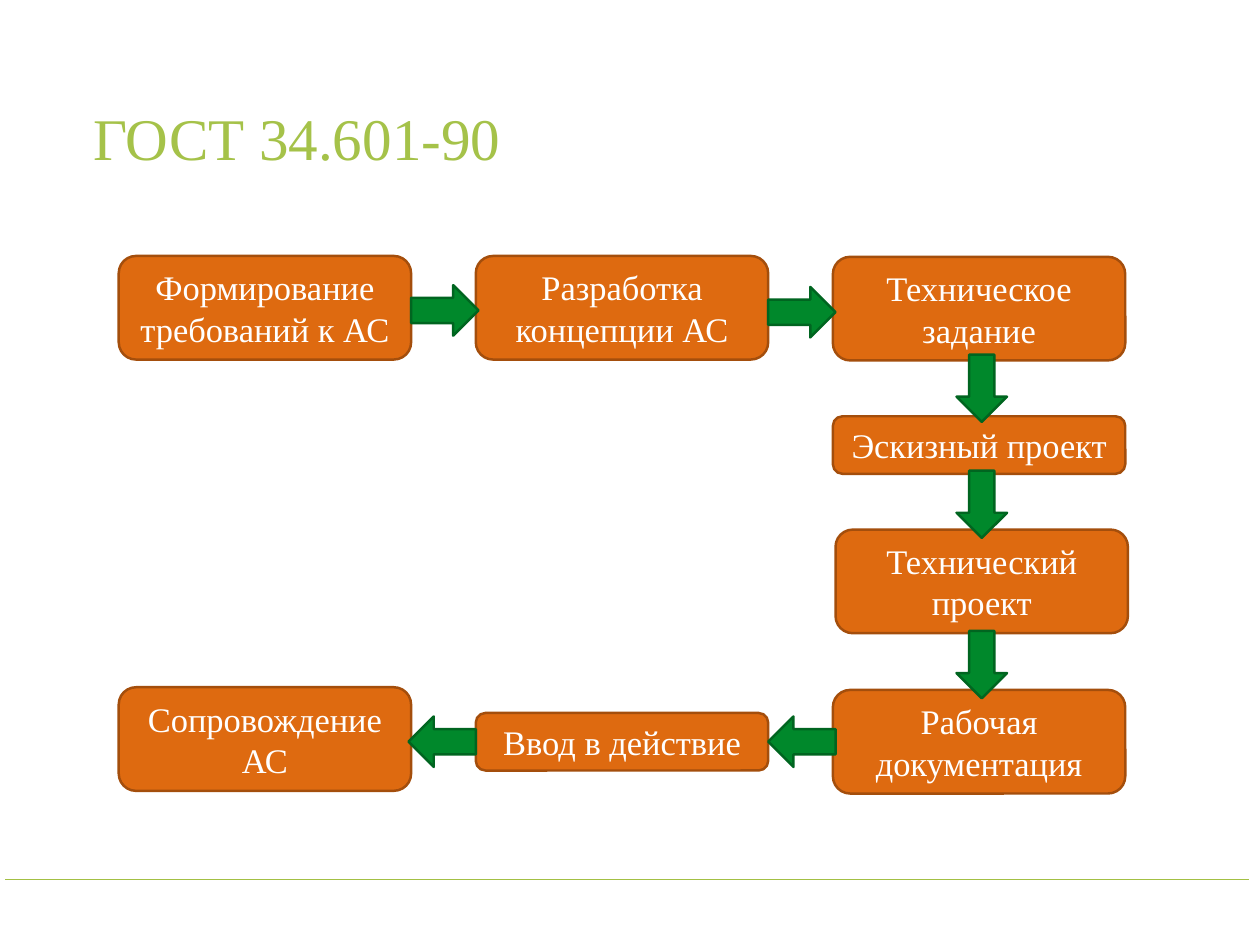
from dataclasses import dataclass

from lxml import etree
from pptx import Presentation
from pptx.dml.color import RGBColor
from pptx.enum.shapes import MSO_CONNECTOR, MSO_SHAPE
from pptx.enum.text import MSO_ANCHOR, PP_ALIGN
from pptx.oxml.ns import qn
from pptx.util import Inches, Pt

ROUND = MSO_SHAPE.ROUNDED_RECTANGLE
ARROW = MSO_SHAPE.RIGHT_ARROW
STRAIGHT = MSO_CONNECTOR.STRAIGHT
MIDDLE = MSO_ANCHOR.MIDDLE
LEFT, CENTER = PP_ALIGN.LEFT, PP_ALIGN.CENTER


@dataclass(frozen=True)
class Theme:
    font: str = "Times New Roman"
    title: str = "A5C249"
    rule: str = "A3C044"
    box: str = "DE6A10"
    box_edge: str = "A44E0C"
    arrow: str = "00882B"
    arrow_edge: str = "006520"
    text: str = "FFFFFF"
    title_size: int = 48
    box_size: int = 28
    edge: int = 2


THEME = Theme()

# Columns, and the sizes shared by all boxes and arrows
COL = [1.34 + 4.03 * i for i in range(3)]
BOX_W, TALL, LOW = 3.3, 1.17, 0.65
ARROW_W, ARROW_H = 0.76, 0.57
DOWN_X = 10.7

# Text, left, top, height
STAGES = [
    ("Формирование требований к АС", COL[0], 2.89, TALL),
    ("Разработка концепции АС", COL[1], 2.89, TALL),
    ("Техническое задание", COL[2], 2.9, TALL),
    ("Эскизный проект", COL[2], 4.7, LOW),
    ("Технический проект", COL[2] + 0.03, 5.98, TALL),
    ("Рабочая документация", COL[2], 7.79, TALL),
    ("Ввод в действие", COL[1], 8.05, LOW),
    ("Сопровождение АС", COL[0], 7.76, TALL),
]

# Left, top, turn in degrees
ARROWS = [
    (4.64, 3.22, 0),
    (8.67, 3.24, 0),
    (DOWN_X, 4.1, 90),
    (DOWN_X, 5.41, 90),
    (DOWN_X, 7.22, 90),
    (8.67, 8.09, 180),
    (4.61, 8.09, 180),
]


def color(code):
    return RGBColor.from_string(code)


def put_text(shape, text, *, size, ink, inset, align=LEFT, spacing=1.0):
    frame = shape.text_frame
    frame.word_wrap = True
    frame.vertical_anchor = MIDDLE
    frame.margin_left = frame.margin_right = Inches(inset)
    frame.margin_top = frame.margin_bottom = Inches(inset)
    para = frame.paragraphs[0]
    para.alignment = align
    para.line_spacing = spacing
    run = para.add_run()
    run.text = text
    run.font.name = THEME.font
    run.font.size = Pt(size)
    run.font.color.rgb = color(ink)


def add_solid(slide, kind, box, fill, edge):
    shape = slide.shapes.add_shape(kind, *map(Inches, box))
    shape.shadow.inherit = False
    shape.fill.solid()
    shape.fill.fore_color.rgb = color(fill)
    shape.line.color.rgb = color(edge)
    shape.line.width = Pt(THEME.edge)
    return shape


def add_title(slide, text):
    box = slide.shapes.add_textbox(*map(Inches, (0.98, 0.57, 12.27, 2.06)))
    put_text(box, text, size=THEME.title_size, ink=THEME.title,
             inset=0.07, spacing=0.9)


def add_rule(slide):
    ends = map(Inches, (0.06, 9.93, 14.1, 9.93))
    rule = slide.shapes.add_connector(STRAIGHT, *ends)
    rule.line.color.rgb = color(THEME.rule)
    rule.line.width = Pt(1)
    etree.SubElement(rule._element.spPr, qn("a:effectLst"))


def add_stage(slide, text, left, top, height):
    shape = add_solid(slide, ROUND, (left, top, BOX_W, height),
                      THEME.box, THEME.box_edge)
    put_text(shape, text, size=THEME.box_size, ink=THEME.text,
             inset=0.06, align=CENTER)


def add_arrow(slide, left, top, turn):
    shape = add_solid(slide, ARROW, (left, top, ARROW_W, ARROW_H),
                      THEME.arrow, THEME.arrow_edge)
    shape.rotation = turn


def main():
    deck = Presentation()
    deck.slide_width = Inches(14.22)
    deck.slide_height = Inches(10.67)
    slide = deck.slides.add_slide(deck.slide_layouts[6])
    add_title(slide, "ГОСТ 34.601-90")
    add_rule(slide)
    for stage in STAGES:
        add_stage(slide, *stage)
    for arrow in ARROWS:
        add_arrow(slide, *arrow)
    deck.save("out.pptx")


if __name__ == "__main__":
    main()
